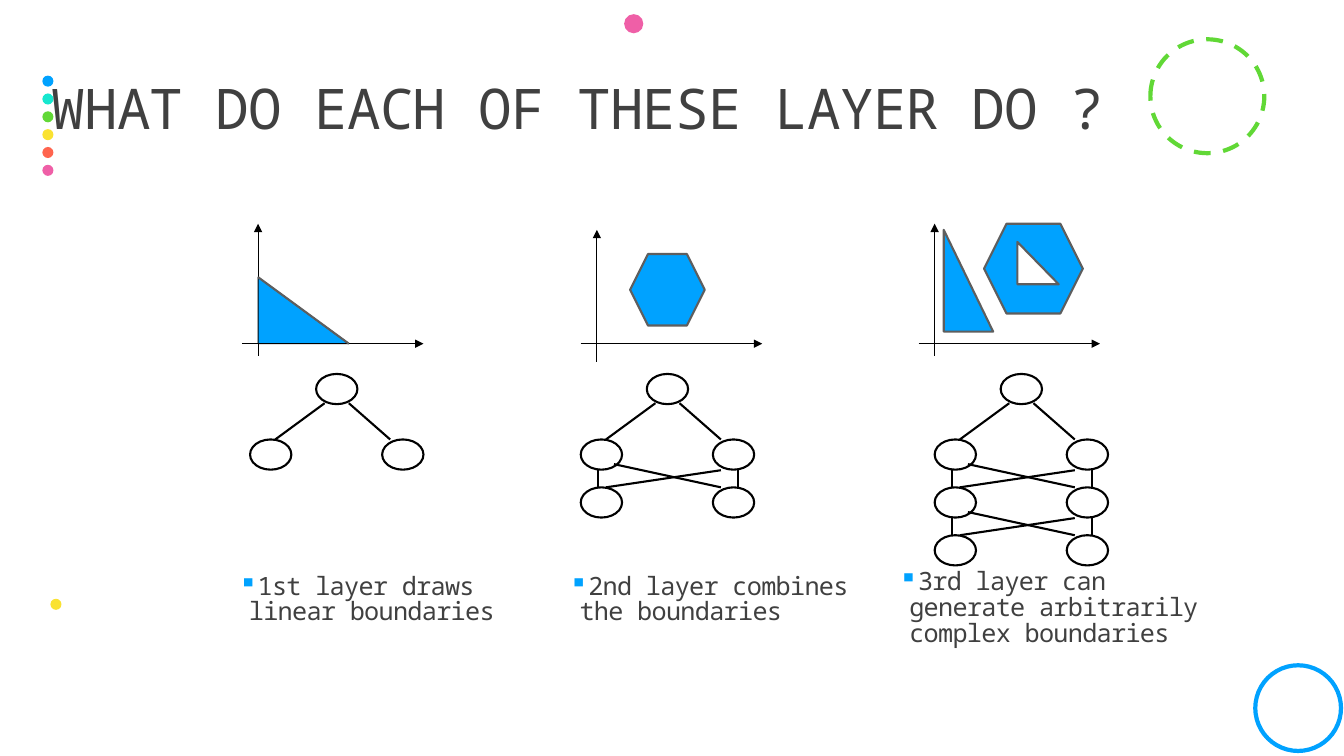
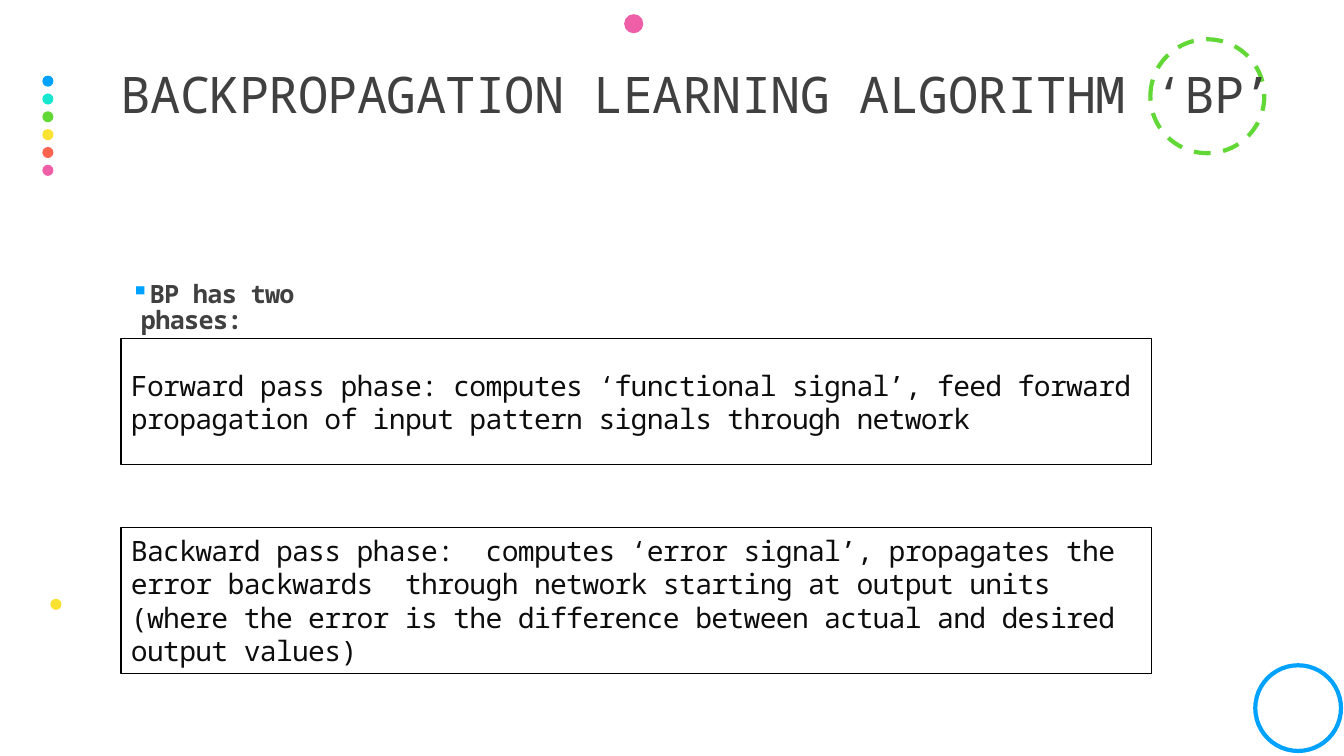
from dataclasses import dataclass

from lxml.etree import SubElement
from pptx import Presentation
from pptx.dml.color import RGBColor
from pptx.enum.dml import MSO_LINE
from pptx.enum.shapes import MSO_CONNECTOR, MSO_SHAPE
from pptx.enum.text import MSO_ANCHOR, PP_ALIGN
from pptx.oxml.ns import qn
from pptx.util import Inches, Pt


@dataclass(frozen=True)
class Theme:
    font: str = "Noto Sans Mono"
    blue: str = "00A2FF"
    teal: str = "16E7CF"
    green: str = "61D836"
    yellow: str = "FAE232"
    coral: str = "FF644E"
    pink: str = "EF5FA7"
    black: str = "000000"
    white: str = "FFFFFF"
    edge: str = "5E5E5E"
    heading: str = "404040"
    body: str = "0D0D0D"
    bullet_size: int = 18
    body_size: int = 20
    thin: float = 0.75
    medium: float = 1.5
    thick: float = 3


THEME = Theme()
WIDTH, HEIGHT = 13.33, 7.5

DOT_COLUMN = [THEME.blue, THEME.teal, THEME.green, THEME.yellow, THEME.coral, THEME.pink]
SINGLE_DOTS = [((6.19, 0.14, 0.19, 0.19), THEME.pink), ((0.5, 5.94, 0.11, 0.11), THEME.yellow)]
RINGS = [
    ((11.41, 0.39, 1.13, 1.13), THEME.green, True),
    ((12.45, 6.6, 0.85, 0.85), THEME.blue, False),
]

LAYERS_TITLE = ("WHAT DO EACH OF THESE LAYER DO ?", 40, (0.51, 0.31, 13.09, 1.59))
LAYERS = [
    {
        "caption": ("1st layer draws linear boundaries", (2.27, 5.65, 2.8, 0.62)),
        "axes": (2.4, 2.22),
        "network": (2.48, 1),
        "regions": [(MSO_SHAPE.RIGHT_TRIANGLE, (2.56, 2.75, 0.9, 0.66), THEME.blue, THEME.black, THEME.thin)],
        "boundaries": [((2.56, 2.75), (3.46, 3.41))],
    },
    {
        "caption": ("2nd layer combines the boundaries", (5.55, 5.65, 3.03, 1.25)),
        "axes": (5.76, 2.28),
        "network": (5.76, 2),
        "regions": [(MSO_SHAPE.HEXAGON, (6.25, 2.52, 0.74, 0.71), THEME.blue, THEME.edge, THEME.medium)],
        "boundaries": [],
    },
    {
        "caption": ("3rd layer can generate arbitrarily complex boundaries", (8.82, 5.61, 3.52, 0.87)),
        "axes": (9.11, 2.22),
        "network": (9.27, 3),
        "regions": [
            (MSO_SHAPE.HEXAGON, (9.76, 2.22, 0.98, 0.89), THEME.blue, THEME.edge, THEME.medium),
            (MSO_SHAPE.RIGHT_TRIANGLE, (9.36, 2.28, 0.49, 1.01), THEME.blue, THEME.edge, THEME.medium),
            (MSO_SHAPE.RIGHT_TRIANGLE, (10.09, 2.4, 0.41, 0.42), THEME.white, THEME.edge, THEME.medium),
        ],
        "boundaries": [],
    },
]
NODE_WIDTH, NODE_HEIGHT = 0.41, 0.3
ROOT_TOP, FIRST_ROW_TOP, ROW_STEP, NODE_SPAN = 3.71, 4.36, 0.475, 1.31
ROOT_LINKS = [((0.25, 0), (0.74, -0.36)), ((1.39, 0), (0.98, -0.36))]
ROW_LINKS = [
    ((0.25, 0), (1.39, -0.17)),
    ((1.39, 0), (0.33, -0.23)),
    ((0.17, 0), (0.17, -0.17)),
    ((1.56, 0), (1.56, -0.17)),
]
AXIS_Y, AXIS_LENGTH, AXIS_HEIGHT, AXIS_INSET = 3.41, 1.8, 1.31, 0.16

PHASES_TITLE = ("BACKPROPAGATION LEARNING ALGORITHM ‘BP’", 36, (1.2, 0.17, 11.76, 1.59))
PHASES_INTRO = ("BP has two phases:", (1.2, 2.76, 2.94, 0.36))
PHASES = [
    ((1.2, 3.36, 10.22, 1.25), [
        "Forward pass phase: computes ‘functional signal’, feed forward",
        "propagation of input pattern signals through network",
    ]),
    ((1.2, 5.23, 10.22, 1.45), [
        "Backward pass phase:  computes ‘error signal’, propagates the error backwards  through network "
        "starting at output units (where the error is the difference between actual and desired",
        "output values)",
    ]),
]


def rgb(value):
    return RGBColor.from_string(value)


def add_outline(slide, kind, box, fill=None, line=None, weight=THEME.medium):
    shape = slide.shapes.add_shape(kind, *map(Inches, box))
    shape.shadow.inherit = False
    if fill:
        shape.fill.solid()
        shape.fill.fore_color.rgb = rgb(fill)
    else:
        shape.fill.background()
    if line:
        shape.line.color.rgb = rgb(line)
        shape.line.width = Pt(weight)
    else:
        shape.line.fill.background()
    return shape


def add_link(slide, start, end, color=THEME.black, weight=THEME.medium, arrow=False):
    link = slide.shapes.add_connector(MSO_CONNECTOR.STRAIGHT, *map(Inches, (*start, *end)))
    link.line.color.rgb = rgb(color)
    link.line.width = Pt(weight)
    if arrow:
        SubElement(link.line._get_or_add_ln(), qn("a:tailEnd"), type="triangle")
    SubElement(link._element.spPr, qn("a:effectLst"))


def write(frame, lines, size, color, bold=False, spacing=None):
    frame.word_wrap = True
    for index, text in enumerate(lines):
        paragraph = frame.paragraphs[0] if index == 0 else frame.add_paragraph()
        run = paragraph.add_run()
        run.text = text
        run._r.get_or_add_rPr().set("spc", "-50")
        paragraph.alignment = PP_ALIGN.LEFT
        paragraph.line_spacing = spacing
        font = paragraph.font
        font.name, font.size, font.bold = THEME.font, Pt(size), bold
        font.color.rgb = rgb(color)


def add_text(slide, box, text, size, bold=False, spacing=0.85):
    frame = slide.shapes.add_textbox(*map(Inches, box)).text_frame
    write(frame, [text], size, THEME.heading, bold, spacing)
    return frame


def add_bullet(slide, text, box, bold=False):
    paragraph = add_text(slide, box, text, THEME.bullet_size, bold).paragraphs[0]
    paragraph.space_after = Pt(2)
    properties = paragraph._p.get_or_add_pPr()
    properties.set("marL", str(Inches(0.1)))
    properties.set("indent", str(-Inches(0.1)))
    marker_color = properties.makeelement(qn("a:buClr"), {})
    SubElement(marker_color, qn("a:srgbClr"), val=THEME.blue)
    marker = properties.makeelement(qn("a:buChar"), {"char": "▪"})
    defaults = properties.find(qn("a:defRPr"))
    for part in (marker_color, marker):
        if defaults is None:
            properties.append(part)
        else:
            defaults.addprevious(part)


def start_slide(deck, title, size, box):
    slide = deck.slides.add_slide(deck.slide_layouts[6])
    for index, color in enumerate(DOT_COLUMN):
        add_outline(slide, MSO_SHAPE.OVAL, (0.42, 0.75 + 0.177 * index, 0.11, 0.11), color)
    for ring_box, color, dashed in RINGS:
        ring = add_outline(slide, MSO_SHAPE.OVAL, ring_box, None, color, THEME.thick)
        if dashed:
            ring.line.dash_style = MSO_LINE.DASH
    for dot_box, color in SINGLE_DOTS:
        add_outline(slide, MSO_SHAPE.OVAL, dot_box, color)
    frame = add_text(slide, box, title, size, spacing=0.9)
    frame.margin_left = frame.margin_right = 0
    frame.vertical_anchor = MSO_ANCHOR.MIDDLE
    return slide


def draw_axes(slide, left, top):
    upright = left + AXIS_INSET
    add_link(slide, (left, AXIS_Y), (left + AXIS_LENGTH, AXIS_Y), weight=THEME.thin, arrow=True)
    add_link(slide, (upright, top + AXIS_HEIGHT), (upright, top), weight=THEME.thin, arrow=True)


def draw_network(slide, left, rows):
    nodes = [(left + NODE_SPAN / 2, ROOT_TOP)]
    for row in range(rows):
        top = FIRST_ROW_TOP + row * ROW_STEP
        nodes += [(left, top), (left + NODE_SPAN, top)]
        for start, end in ROW_LINKS if row else ROOT_LINKS:
            add_link(slide, *((left + x, top + y) for x, y in (start, end)))
    for node in nodes:
        add_outline(slide, MSO_SHAPE.OVAL, (*node, NODE_WIDTH, NODE_HEIGHT), None, THEME.black)


def build_layers(deck):
    slide = start_slide(deck, *LAYERS_TITLE)
    for layer in LAYERS:
        add_bullet(slide, *layer["caption"])
        draw_axes(slide, *layer["axes"])
        for region in layer["regions"]:
            add_outline(slide, *region)
        for start, end in layer["boundaries"]:
            add_link(slide, start, end, THEME.edge)
        draw_network(slide, *layer["network"])


def build_phases(deck):
    slide = start_slide(deck, *PHASES_TITLE)
    add_bullet(slide, *PHASES_INTRO, bold=True)
    for box, lines in PHASES:
        panel = add_outline(slide, MSO_SHAPE.RECTANGLE, box, None, THEME.black, THEME.thin)
        panel.text_frame.vertical_anchor = MSO_ANCHOR.MIDDLE
        write(panel.text_frame, lines, THEME.body_size, THEME.body)


def main():
    """Build the two slides on neural network layers and backpropagation."""
    deck = Presentation()
    deck.slide_width, deck.slide_height = Inches(WIDTH), Inches(HEIGHT)
    build_layers(deck)
    build_phases(deck)
    deck.save("out.pptx")


if __name__ == "__main__":
    main()
